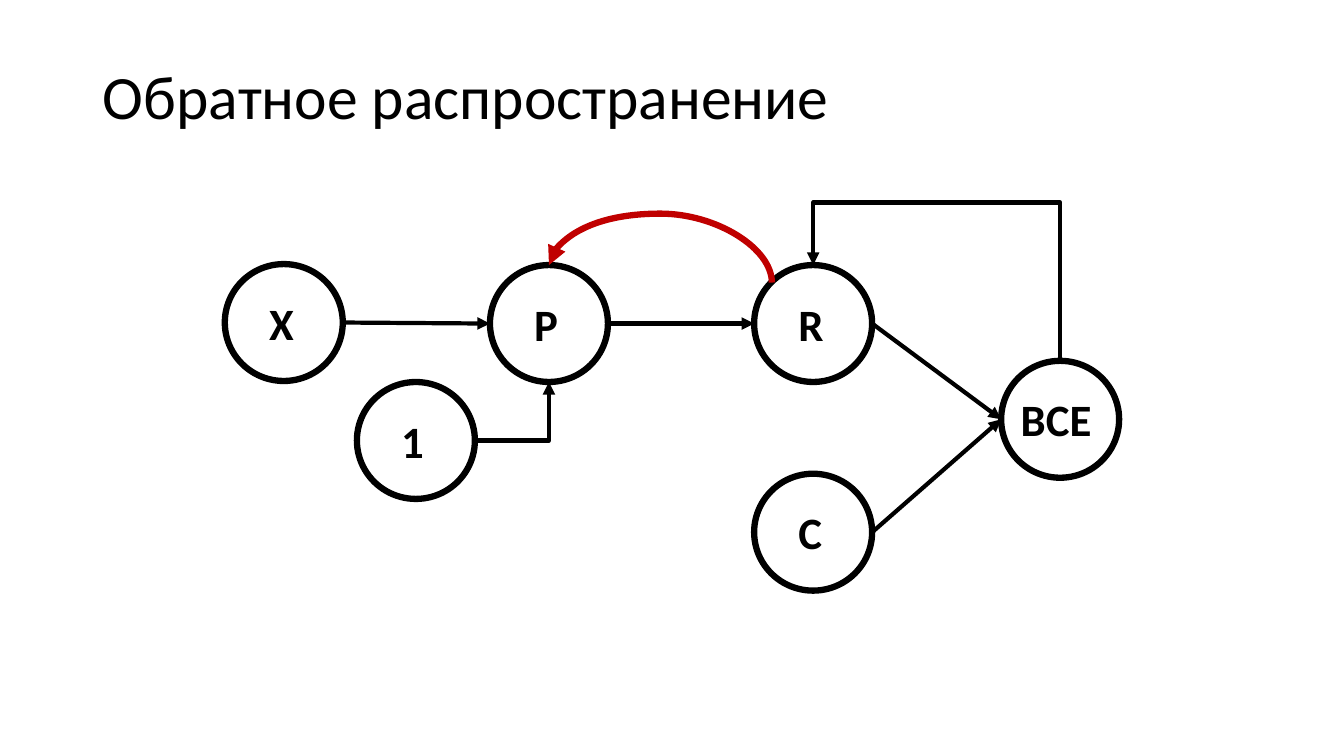
from lxml import etree
from pptx import Presentation
from pptx.dml.color import RGBColor
from pptx.enum import shapes, text
from pptx.oxml.ns import qn
from pptx.util import Inches, Pt

FONT = "Calibri"
BLACK, WHITE, RED = "000000", "FFFFFF", "C00000"
NODE_W, NODE_H = 1.17, 1.16
# Connection sites of an ellipse
SITE_LEFT, SITE_RIGHT = 2, 6
# label: left, top (from the diagram's corner), label width
NODES = {
    "X": (0, 0.61, 0.49),
    "P": (2.63, 0.62, 0.49),
    "1": (1.31, 1.78, 0.49),
    "R": (5.25, 0.62, 0.49),
    "С": (5.25, 2.69, 0.49),
    "BCE": (7.7, 1.57, 0.98),
}
FORWARD = [("X", "P"), ("P", "R"), ("С", "BCE"), ("R", "BCE")]


def color(value):
    return RGBColor.from_string(value)


def add_run(paragraph, words, size, bold=False):
    run = paragraph.add_run()
    run.text = words
    run.font.name, run.font.size, run.font.bold = FONT, Pt(size), bold
    run.font.color.rgb = color(BLACK)


def add_title(slide, left, top, width, height):
    title = slide.shapes.title
    title.left, title.top = Inches(left), Inches(top)
    title.width, title.height = Inches(width), Inches(height)
    title.text_frame.vertical_anchor = text.MSO_ANCHOR.MIDDLE
    heading = title.text_frame.paragraphs[0]
    heading.alignment = text.PP_ALIGN.LEFT
    heading.line_spacing = 0.9
    add_run(heading, "Обратное распространение", 44)


def add_node(slide, left, top, label, label_width):
    circle = slide.shapes.add_shape(
        shapes.MSO_SHAPE.OVAL, Inches(left), Inches(top), Inches(NODE_W), Inches(NODE_H))
    circle.shadow.inherit = False
    circle.fill.solid()
    circle.fill.fore_color.rgb = color(WHITE)
    circle.line.color.rgb = color(BLACK)
    circle.line.width = Pt(4.5)
    caption = slide.shapes.add_textbox(
        Inches(left + (NODE_W - label_width) / 2), Inches(top + 0.26),
        Inches(label_width), Inches(0.65))
    caption.text_frame.word_wrap = True
    add_run(caption.text_frame.paragraphs[0], label, 32, True)
    return circle


def add_arrow(slide, kind, start, end, line_color=BLACK, width=3):
    arrow = slide.shapes.add_connector(kind, *(Inches(v) for v in (*start, *end)))
    arrow.line.color.rgb = color(line_color)
    arrow.line.width = Pt(width)
    etree.SubElement(arrow.line._get_or_add_ln(), qn("a:tailEnd"), type="triangle")
    etree.SubElement(arrow._element.spPr, qn("a:effectLst"))
    return arrow


def glue(arrow, source, target):
    """Tie a straight arrow to the right of one circle and the left of another."""
    ends = arrow._element.find(".//" + qn("p:cNvCxnSpPr"))
    for tag, circle, site in (("a:stCxn", source, SITE_RIGHT), ("a:endCxn", target, SITE_LEFT)):
        etree.SubElement(ends, qn(tag), id=str(circle.shape_id), idx=str(site))


def add_loop(slide, kind, start, end, peak, line_color=BLACK, width=3):
    """Arrow back to the left that rises to peak: a connector turned by 270 degrees."""
    (x1, y1), (x2, y2) = start, end
    mid_x, mid_y = (x1 + x2) / 2, (y1 + y2) / 2
    half_w, half_h = (y1 - y2) / 2, (x1 - x2) / 2
    loop = add_arrow(slide, kind, (mid_x - half_w, mid_y + half_h),
                     (mid_x + half_w, mid_y - half_h), line_color, width)
    properties = loop._element.spPr
    properties.find(qn("a:xfrm")).set("rot", str(270 * 60000))
    guides = properties.find(qn("a:prstGeom")).find(qn("a:avLst"))
    rise = round((y1 - peak) / (y1 - y2) * 100000)
    etree.SubElement(guides, qn("a:gd"), name="adj1", fmla=f"val {rise}")


def add_diagram(slide, left, top):
    # Nodes
    corner, circles = {}, {}
    for label, (dx, dy, label_width) in NODES.items():
        corner[label] = left + dx, top + dy
        circles[label] = add_node(slide, *corner[label], label, label_width)

    def point(label, across, down):
        x, y = corner[label]
        return x + across * NODE_W, y + down * NODE_H

    # Forward pass
    connector = shapes.MSO_CONNECTOR
    for source, target in FORWARD:
        arrow = add_arrow(slide, connector.STRAIGHT, point(source, 1, 0.5), point(target, 0, 0.5))
        glue(arrow, circles[source], circles[target])
    bias = add_arrow(slide, connector.ELBOW, point("1", 1, 0.5), point("P", 0.5, 1))
    bias._element.spPr.find(qn("a:prstGeom")).set("prst", "bentConnector2")

    # Backward pass
    add_loop(slide, connector.ELBOW, point("BCE", 0.5, 0), point("R", 0.5, 0), top)
    add_loop(slide, connector.CURVE, point("R", 0.15, 0.15), point("P", 0.5, 0),
             top + 0.11, RED, 4.5)


def main():
    deck = Presentation()
    deck.slide_width, deck.slide_height = Inches(13.33), Inches(7.5)
    slide = deck.slides.add_slide(deck.slide_layouts[5])
    add_title(slide, 0.92, 0.26, 11.5, 1.45)
    add_diagram(slide, 2.23, 2.01)
    deck.save("out.pptx")


if __name__ == "__main__":
    main()
